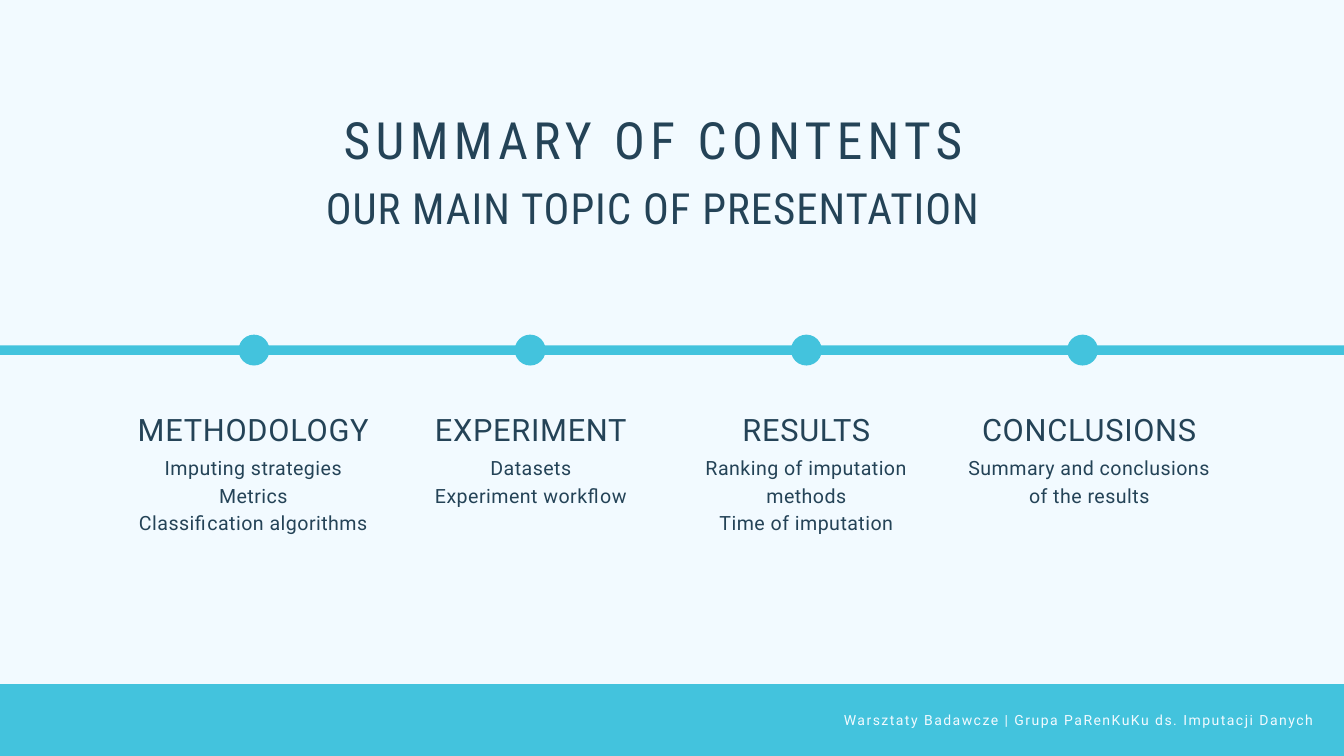
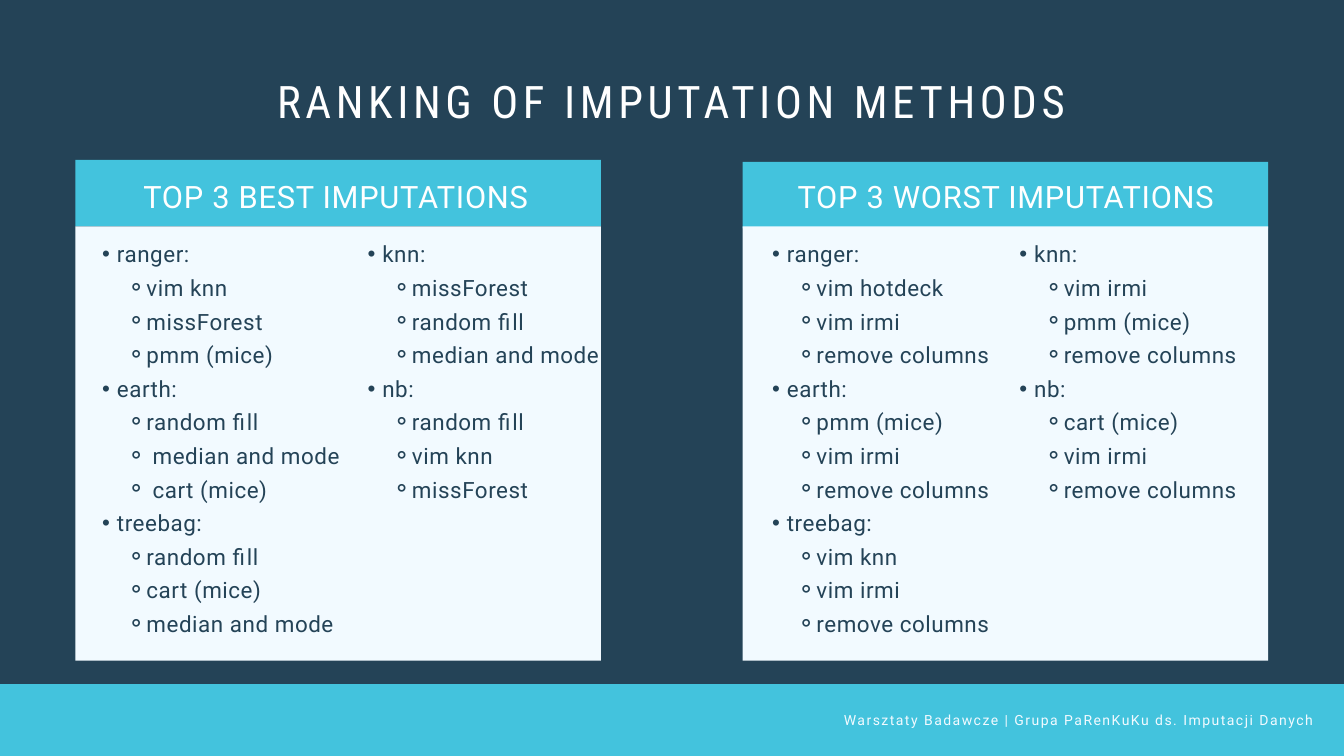
import pptx
import pptx.util
import pptx.dml.color
import pptx.enum.shapes
import pptx.enum.text
import pptx.oxml.ns
from lxml import etree

Inches, Pt = pptx.util.Inches, pptx.util.Pt
RGBColor = pptx.dml.color.RGBColor
MSO_SHAPE = pptx.enum.shapes.MSO_SHAPE
ALIGN = pptx.enum.text.PP_ALIGN
qn = pptx.oxml.ns.qn

# Shared colours
NAVY = RGBColor(0x24, 0x43, 0x57)
CYAN = RGBColor(0x43, 0xC3, 0xDD)
PALE = RGBColor(0xF2, 0xFA, 0xFF)
WHITE = RGBColor(0xFF, 0xFF, 0xFF)

# Text styles: font, size, letter spacing, line height (points)
TITLE = ("Roboto Condensed", 55, 5.8, 62.1)
SUBHEAD = ("Roboto Condensed", 46, 1.1, 54.7)
RANKING = ("Roboto Condensed", 48, 5, 54.2)
HEAD = ("Roboto", 33, 0.8, 46.2)
BODY = ("Roboto", 21, 0.5, 29.4)
ITEM = ("Roboto", 24, 0.6, 36)
FOOT = ("Roboto", 15, 1.6, 21.8)

FOOTER = "Warsztaty Badawcze | Grupa PaRenKuKu ds. Imputacji Danych"


def draw(slide, kind, left, top, width, height, color):
    shape = slide.shapes.add_shape(
        kind, Inches(left), Inches(top), Inches(width), Inches(height))
    shape.shadow.inherit = False
    shape.fill.solid()
    shape.fill.fore_color.rgb = color
    shape.line.fill.background()


def write(slide, lines, style, color, left, top, width, height,
          align=ALIGN.CENTER, holder=None, listed=False):
    """Fill a placeholder, or a new text box, and bring it to the front."""
    face, size, gap, pitch = style
    box = holder or slide.shapes.add_textbox(0, 0, 0, 0)
    box.element.getparent().append(box.element)
    box.left, box.top = Inches(left), Inches(top)
    box.width, box.height = Inches(width), Inches(height)
    frame = box.text_frame
    frame.word_wrap = True
    frame.auto_size = pptx.enum.text.MSO_AUTO_SIZE.SHAPE_TO_FIT_TEXT
    frame.vertical_anchor = pptx.enum.text.MSO_ANCHOR.TOP
    frame.margin_left = frame.margin_right = 0
    frame.margin_top = frame.margin_bottom = 0
    frame.text = "\n".join(lines)
    for para in frame.paragraphs:
        para.alignment = align
        para.line_spacing = Pt(pitch)
        para.space_before = para.space_after = Pt(0)
        # Group names end with a colon, methods sit one level deeper
        mark, margin, indent = None, 0, 0
        if listed and para.text.endswith(":"):
            para.level, mark, margin, indent = 1, "•", 0.43, -0.22
        elif listed:
            para.level, mark, margin, indent = 2, "⚬", 0.87, -0.29
        props = para._p.get_or_add_pPr()
        props.set("marL", str(Inches(margin)))
        props.set("indent", str(Inches(indent)))
        if mark:
            etree.SubElement(props, qn("a:buChar")).set("char", mark)
        else:
            etree.SubElement(props, qn("a:buNone"))
        para.font.name = face
        para.font.size = Pt(size)
        para.font.bold = False
        para.font.color.rgb = color
        props.find(qn("a:defRPr")).set("spc", str(round(gap * 100)))


deck = pptx.Presentation()
deck.slide_width, deck.slide_height = Inches(20), Inches(11.25)

# Both slides: background, bottom band and footer
pages = []
for back in (PALE, NAVY):
    page = deck.slides.add_slide(deck.slide_layouts[4])
    page.background.fill.solid()
    page.background.fill.fore_color.rgb = back
    draw(page, MSO_SHAPE.RECTANGLE, -0.27, 10.18, 20.73, 1.48, CYAN)
    write(page, [FOOTER], FOOT, PALE, 9.3, 10.54, 10.25, 0.28, ALIGN.RIGHT)
    pages.append(page)
agenda, ranks = pages

# Slide 1: titles
write(agenda, ["SUMMARY OF CONTENTS"], TITLE, NAVY, 4.33, 1.67, 10.79, 0.89,
      holder=agenda.shapes.title)
write(agenda, ["OUR MAIN TOPIC OF PRESENTATION"], SUBHEAD, NAVY,
      2.37, 2.71, 14.69, 0.76)

# Slide 1: timeline with four stops (text centre, text width, head, lines)
STOPS = [
    (3.77, 4.02, "METHODOLOGY",
     ["Imputing strategies", "Metrics", "Classification algorithms"]),
    (7.9, 3.63, "EXPERIMENT", ["Datasets", "Experiment workflow"]),
    (12, 3.63, "RESULTS",
     ["Ranking of imputation methods", "Time of imputation"]),
    (16.21, 3.84, "CONCLUSIONS", ["Summary and conclusions of the results"]),
]
DOT = 0.46
draw(agenda, MSO_SHAPE.RECTANGLE, -0.27, 5.14, 20.47, 0.14, CYAN)
for i, (mid, width, head, lines) in enumerate(STOPS):
    draw(agenda, MSO_SHAPE.OVAL, 3.55 + 4.11 * i, 4.98, DOT, DOT, CYAN)
    inner = width * 0.885
    write(agenda, [head], HEAD, NAVY, mid - inner / 2, 6.02, inner, 0.61)
    write(agenda, lines, BODY, NAVY, mid - width / 2, 6.73, width, 1.19,
          holder=agenda.placeholders[i + 1])

# Slide 2: title
write(ranks, ["RANKING OF IMPUTATION METHODS"], RANKING, WHITE,
      3.13, 1.15, 13.73, 0.78, holder=ranks.shapes.title)

# Slide 2: two cards (card left, bar top, head left, head, lists by left)
CARDS = [
    (1.12, 2.38, 1.31, "TOP 3 BEST IMPUTATIONS", {
        1.31: ["ranger:", "vim knn", "missForest", "pmm (mice)",
               "earth:", "random fill", " median and mode", " cart (mice)",
               "treebag:", "random fill", "cart (mice)", "median and mode"],
        5.26: ["knn:", "missForest", "random fill", "median and mode",
               "nb:", "random fill", "vim knn", "missForest"]}),
    (11.05, 2.41, 11.28, "TOP 3 WORST IMPUTATIONS", {
        11.28: ["ranger:", "vim hotdeck", "vim irmi", "remove columns",
                "earth:", "pmm (mice)", "vim irmi", "remove columns",
                "treebag:", "vim knn", "vim irmi", "remove columns"],
        14.96: ["knn:", "vim irmi", "pmm (mice)", "remove columns",
                "nb:", "cart (mice)", "vim irmi", "remove columns"]}),
]
slots = [p for p in ranks.placeholders if p.placeholder_format.idx > 0]
for left, top, start, head, lists in CARDS:
    draw(ranks, MSO_SHAPE.RECTANGLE, left, top, 7.82, 0.99, CYAN)
    draw(ranks, MSO_SHAPE.RECTANGLE, left, 3.37, 7.82, 6.46, PALE)
    write(ranks, [head], HEAD, WHITE, start, 2.55, 7.38, 0.63)
    for edge, lines in lists.items():
        write(ranks, lines, ITEM, NAVY, edge, 3.48, 7.38, 0.495 * len(lines),
              ALIGN.LEFT, slots.pop(0), listed=True)

deck.save("out.pptx")
